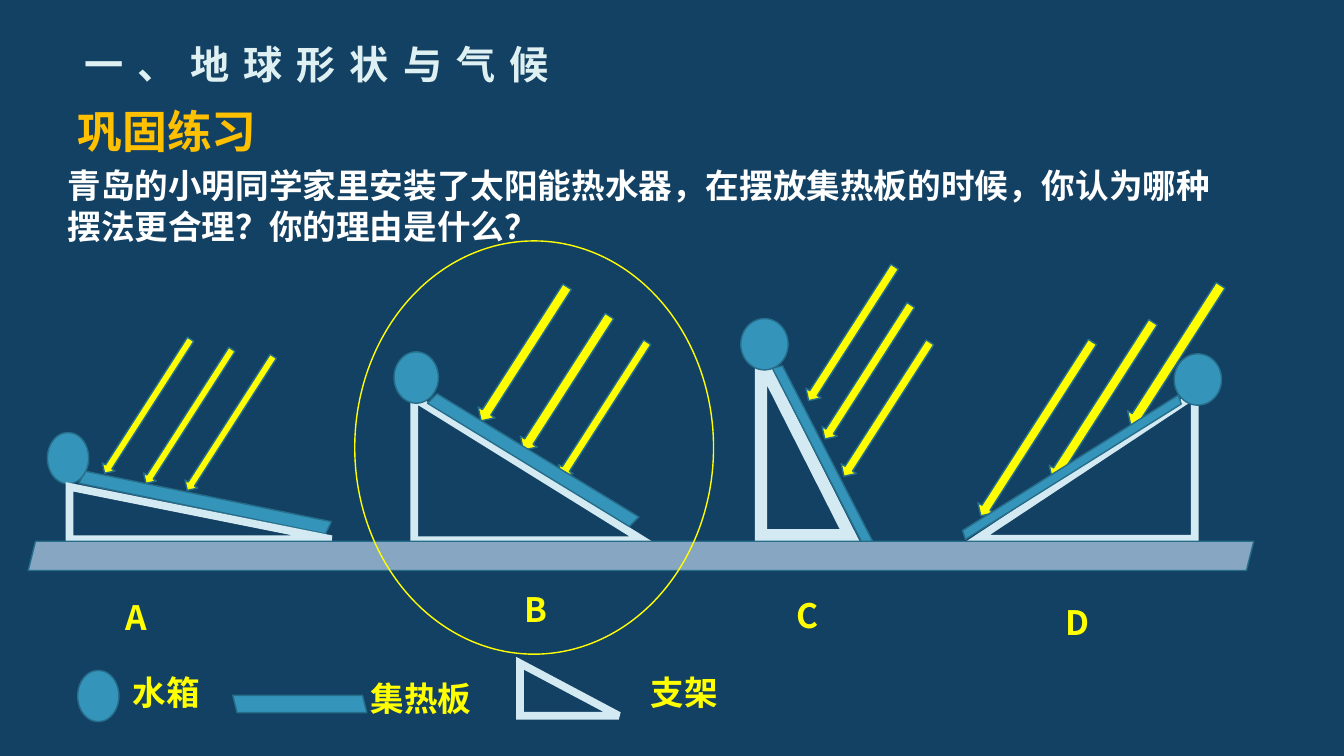
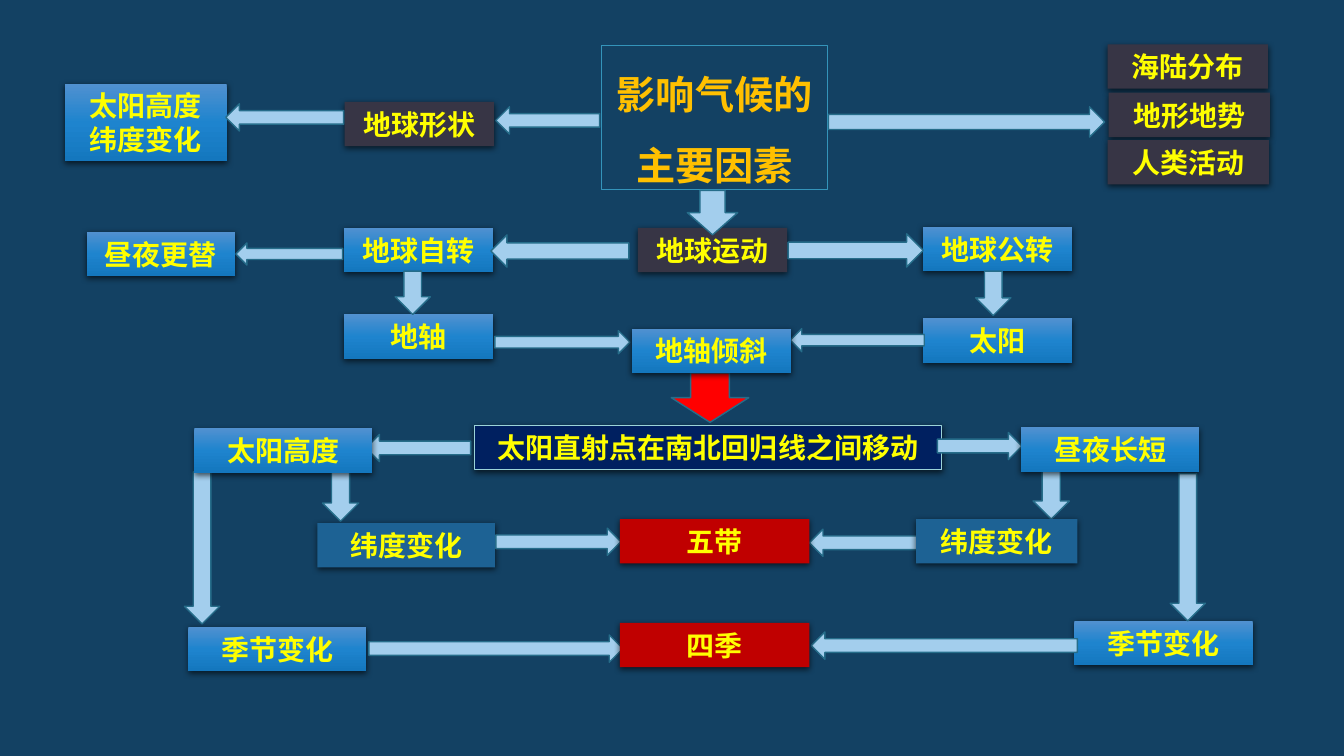
from copy import deepcopy

from lxml import etree
from pptx import Presentation
from pptx import util as u
from pptx.dml.color import RGBColor
from pptx.enum import shapes as kinds, text as textual
from pptx.oxml import ns

FONT = "Noto Sans CJK SC"
CM_PER_INCH = 2.54
RAY_ANGLE = 212.7
BOX_HEIGHT = 0.44
COLORS = {
    "background": "134163", "gold": "FFC000", "mist": "DEF0F2", "white": "FFFFFF",
    "yellow": "FFFF00", "teal": "3494BA", "edge": "266D8A", "frame": "D4EAF3",
    "ground": "86A6C1", "arrow": "A3CEED", "red": "FF0000", "crimson": "C00000",
    "slate": "373545", "navy": "002060", "pale": "9BD3D9", "steel": "1D6294",
}
BLUE_GRADIENT = [(0, "5191D0"), (0.5, "1E84CE"), (1, "1477BE")]
SHAPE = kinds.MSO_SHAPE
ALIGN = textual.PP_ALIGN
ANCHOR = textual.MSO_ANCHOR


def color(name):
    return RGBColor.from_string(COLORS[name])


def lengths(place):
    """Turn places laid out on an inch grid into centimetre lengths."""
    return [u.Cm(value * CM_PER_INCH) for value in place]


def child(parent, tag, **attributes):
    return etree.SubElement(parent, ns.qn(tag), attributes)


class Deck:
    """Holds the style and the current slide."""

    def __init__(self):
        self.presentation = Presentation()
        self.presentation.slide_width = u.Cm(33.87)
        self.presentation.slide_height = u.Cm(19.05)
        fill = self.presentation.slide_master.background.fill
        fill.solid()
        fill.fore_color.rgb = color("background")
        self.slide = None

    def add_slide(self, layout):
        self.slide = self.presentation.slides.add_slide(
            self.presentation.slide_layouts[layout])

    # Text
    def fill_text(self, shape, lines, size, ink, align=ALIGN.LEFT,
                  anchor=ANCHOR.TOP, line_spacing=None, tracking=None):
        frame = shape.text_frame
        frame.word_wrap = True
        frame.auto_size = textual.MSO_AUTO_SIZE.NONE
        frame.vertical_anchor = anchor
        for index, line in enumerate(lines):
            paragraph = frame.paragraphs[0] if index == 0 else frame.add_paragraph()
            paragraph.alignment = align
            paragraph.space_before = u.Pt(0)
            if line_spacing:
                paragraph.line_spacing = line_spacing
            run = paragraph.add_run()
            run.text = line
            run.font.size = u.Pt(size)
            run.font.bold = True
            run.font.color.rgb = color(ink)
            run.font.name = FONT
            properties = run._r.get_or_add_rPr()
            child(properties, "a:ea", typeface=FONT)
            if tracking:
                properties.set("spc", str(tracking * 100))

    def move(self, shape, place):
        shape.left, shape.top, shape.width, shape.height = lengths(place)

    def title(self, line, place, ink, **style):
        shape = self.slide.shapes.title
        self.move(shape, place)
        self.fill_text(shape, [line], 28, ink, ALIGN.CENTER, **style)
        return shape

    def body(self, line, place):
        shape = self.slide.placeholders[1]
        self.move(shape, place)
        properties = shape.text_frame.paragraphs[0]._p.get_or_add_pPr()
        properties.set("marL", "0")
        properties.set("indent", "0")
        child(properties, "a:buNone")
        self.fill_text(shape, [line], 24, "white")

    def label(self, line, place, size=24, ink="yellow"):
        self.fill_text(self.slide.shapes.add_textbox(*lengths(place)), [line], size, ink)

    # Shapes
    def shape(self, kind, place, fill=None, line="edge", width=1, angle=0):
        shape = self.slide.shapes.add_shape(kind, *lengths(place))
        shape.rotation = angle
        shape.shadow.inherit = False
        if fill:
            shape.fill.solid()
            shape.fill.fore_color.rgb = color(fill)
        else:
            shape.fill.background()
        if line:
            shape.line.color.rgb = color(line)
            shape.line.width = u.Pt(width)
        else:
            shape.line.fill.background()
        return shape

    def stand(self, place, width=5.5, angle=0):
        shape = self.shape(SHAPE.RIGHT_TRIANGLE, place, None, "frame", width, angle)
        child(shape.line._get_or_add_ln(), "a:miter", lim="800000")

    def tank(self, place):
        self.shape(SHAPE.OVAL, place, "teal")

    def panel(self, place, angle=0):
        return self.shape(SHAPE.PARALLELOGRAM, place, "teal", angle=angle)

    def rays(self, *places):
        for place in places:
            self.shape(SHAPE.UP_ARROW, place, "yellow", angle=RAY_ANGLE)

    def heater(self, parts):
        draw = {"stand": self.stand, "rays": self.rays, "panel": self.panel,
                "tank": self.tank, "label": self.label}
        for part, arguments in parts.items():
            draw[part](*arguments)

    def arrow(self, direction, place, fill="arrow"):
        self.shape(direction, place, fill)

    def box(self, lines, tone, left, top, width, height=BOX_HEIGHT, line=None):
        solid = None if tone == "gradient" else tone
        shape = self.shape(SHAPE.RECTANGLE, (left, top, width, height), solid, line, 0.75)
        if tone == "gradient":
            self.blue_gradient(shape)
        self.soft_shadow(shape)
        self.fill_text(shape, lines.split("\n"), 20, "yellow", ALIGN.CENTER, ANCHOR.MIDDLE)

    def blue_gradient(self, shape):
        shape.fill.gradient()
        shape.fill.gradient_angle = 270
        stop_list = shape._element.spPr.find(".//" + ns.qn("a:gsLst"))
        stop_list.append(deepcopy(stop_list[-1]))
        for stop, (position, value) in zip(shape.fill.gradient_stops, BLUE_GRADIENT):
            stop.position = position
            stop.color.rgb = RGBColor.from_string(value)

    def soft_shadow(self, shape):
        effects = shape._element.spPr.find(ns.qn("a:effectLst"))
        shadow = child(effects, "a:outerShdw", blurRad=str(u.Pt(4.5)),
                       dist=str(u.Pt(1.5)), dir="5400000", algn="ctr", rotWithShape="0")
        child(child(shadow, "a:srgbClr", val="000000"), "a:alpha", val="63000")


# Solar heaters A to D: parts in drawing order, each with its arguments
HEATERS = [
    {"rays": [(2.21, 3.41, 0.15, 1.58), (1.8, 3.34, 0.15, 1.58), (1.39, 3.24, 0.15, 1.58)],
     "panel": [(0.77, 4.92, 2.53, 0.13), 11.6],
     "tank": [(0.47, 4.29, 0.41, 0.51)],
     "stand": [(0.69, 4.83, 2.6, 0.52)],
     "label": ["A", (1.15, 5.87, 1.16, 0.5)]},
    {"stand": [(4.11, 3.95, 2.27, 1.41)],
     "rays": [(5.1, 2.72, 0.2, 1.58), (5.52, 3.01, 0.2, 1.58), (5.91, 3.27, 0.17, 1.58)],
     "tank": [(3.91, 3.49, 0.44, 0.51)],
     "panel": [(4.1, 4.5, 2.38, 0.13), 31.4],
     "label": ["B", (5.11, 5.79, 1.09, 0.5)]},
    {"stand": [(7.55, 3.57, 0.88, 1.74), 8.75],
     "rays": [(8.71, 3.27, 0.18, 1.58), (8.52, 2.9, 0.18, 1.58), (8.36, 2.52, 0.18, 1.58)],
     "tank": [(7.35, 3.16, 0.47, 0.51)],
     "panel": [(7.17, 4.46, 1.98, 0.1), 62.8],
     "label": ["C", (7.8, 5.85, 1.33, 0.5)]},
    {"stand": [(10.06, 3.55, 1.43, 2.16), 5.5, 270],
     "rays": [(10.19, 3.23, 0.19, 2.05), (11.56, 2.7, 0.21, 1.65), (10.84, 3.05, 0.2, 1.85)],
     "panel": [(9.36, 4.59, 2.55, 0.09), 327.9],
     "tank": [(11.65, 3.51, 0.47, 0.51)],
     "label": ["D", (10.47, 5.92, 1.33, 0.5)]},
]

# Flow chart: boxes behind the arrows, arrows, boxes over the arrow ends
BACK_BOXES = [
    ("太阳高度\n纬度变化", "gradient", 0.64, 0.83, 1.61, 0.77),
    ("太阳直射点在南北回归线之间移动", "navy", 4.71, 4.22, 4.63, BOX_HEIGHT, "pale"),
    ("太阳", "gradient", 9.16, 3.16, 1.48),
    ("地球公转", "gradient", 9.16, 2.25, 1.48),
    ("地球自转", "gradient", 3.41, 2.26, 1.48),
    ("地轴", "gradient", 3.41, 3.12, 1.48),
    ("昼夜更替", "gradient", 0.86, 2.3, 1.47),
    ("季节变化", "gradient", 1.87, 6.22, 1.76),
    ("季节变化", "gradient", 10.66, 6.16, 1.77),
    ("地球形状", "slate", 3.42, 1.01, 1.48),
    ("地球运动", "slate", 6.33, 2.26, 1.48),
    ("海陆分布", "slate", 10.99, 0.44, 1.59),
    ("地形地势", "slate", 11, 0.92, 1.6),
    ("人类活动", "slate", 10.99, 1.39, 1.6),
    ("纬度变化", "steel", 3.15, 5.19, 1.76),
]
ARROWS = {
    SHAPE.LEFT_ARROW: [
        (2.24, 1.03, 1.17, 0.27), (4.92, 1.06, 1.03, 0.27), (2.34, 2.41, 1.06, 0.22),
        (4.87, 2.33, 1.37, 0.32), (7.84, 3.26, 1.33, 0.23), (3.63, 4.31, 1.04, 0.27),
        (8.03, 5.25, 1.12, 0.27), (8.05, 6.27, 2.64, 0.27)],
    SHAPE.RIGHT_ARROW: [
        (8.22, 1.06, 2.74, 0.3), (7.82, 2.32, 1.34, 0.33), (4.91, 3.28, 1.34, 0.23),
        (9.3, 4.29, 0.84, 0.27), (4.92, 5.24, 1.24, 0.27), (3.66, 6.3, 2.52, 0.27)],
    SHAPE.DOWN_ARROW: [
        (6.82, 1.89, 0.5, 0.44), (3.92, 2.69, 0.35, 0.43), (9.68, 2.69, 0.35, 0.44),
        (3.2, 4.68, 0.36, 0.49), (10.25, 4.66, 0.36, 0.49),
        (1.83, 4.68, 0.35, 1.51), (11.61, 4.7, 0.35, 1.46)],
}
FRONT_BOXES = [
    ("地轴倾斜", "gradient", 6.27, 3.26, 1.58),
    ("四季", "crimson", 6.15, 6.18, 1.88),
    ("五带", "crimson", 6.15, 5.15, 1.88),
    ("纬度变化", "steel", 9.09, 5.15, 1.6),
    ("太阳高度", "gradient", 1.93, 4.25, 1.76),
    ("昼夜长短", "gradient", 10.13, 4.24, 1.77),
]


def exercise_slide(deck):
    deck.add_slide(1)
    deck.title("一、地球形状与气候", (0.19, 0.35, 5.9, 0.57), "mist", tracking=10)
    deck.label("巩固练习", (0.67, 0.98, 5.9, 0.64), 32, "gold")
    deck.body("青岛的小明同学家里安装了太阳能热水器，在摆放集热板的时候，"
              "你认为哪种摆法更合理？你的理由是什么？", (0.57, 1.59, 11.66, 0.91))

    # Four ways to set up the heater
    for parts in HEATERS:
        deck.heater(parts)

    # Legend
    deck.tank((0.77, 6.65, 0.41, 0.51))
    deck.label("水箱", (1.22, 6.62, 1.16, 0.5))
    legend_panel = deck.panel((2.31, 6.9, 1.33, 0.17))
    legend_panel._element.spPr.find(ns.qn("a:xfrm")).set("flipV", "1")
    deck.label("集热板", (3.58, 6.68, 1.62, 0.5))
    deck.stand((5.16, 6.58, 0.98, 0.52))
    deck.label("支架", (6.36, 6.62, 1.62, 0.5))

    # Ground and the ring around the answer
    deck.shape(SHAPE.PARALLELOGRAM, (0.28, 5.37, 12.16, 0.29), "ground")
    deck.shape(SHAPE.OVAL, (3.52, 2.39, 3.56, 4.1), None, "yellow")


def factors_slide(deck):
    deck.add_slide(5)
    title = deck.title("影响气候的主要因素", (5.97, 0.45, 2.24, 1.43), "gold",
                       anchor=ANCHOR.MIDDLE, line_spacing=1.5)
    title.line.color.rgb = color("teal")
    title.line.width = u.Pt(0.75)

    for box in BACK_BOXES:
        deck.box(*box)
    for direction, places in ARROWS.items():
        for place in places:
            deck.arrow(direction, place)
    deck.arrow(SHAPE.DOWN_ARROW, (6.66, 3.7, 0.77, 0.49), "red")
    for box in FRONT_BOXES:
        deck.box(*box)


def main():
    deck = Deck()
    exercise_slide(deck)
    factors_slide(deck)
    deck.presentation.save("out.pptx")


if __name__ == "__main__":
    main()
